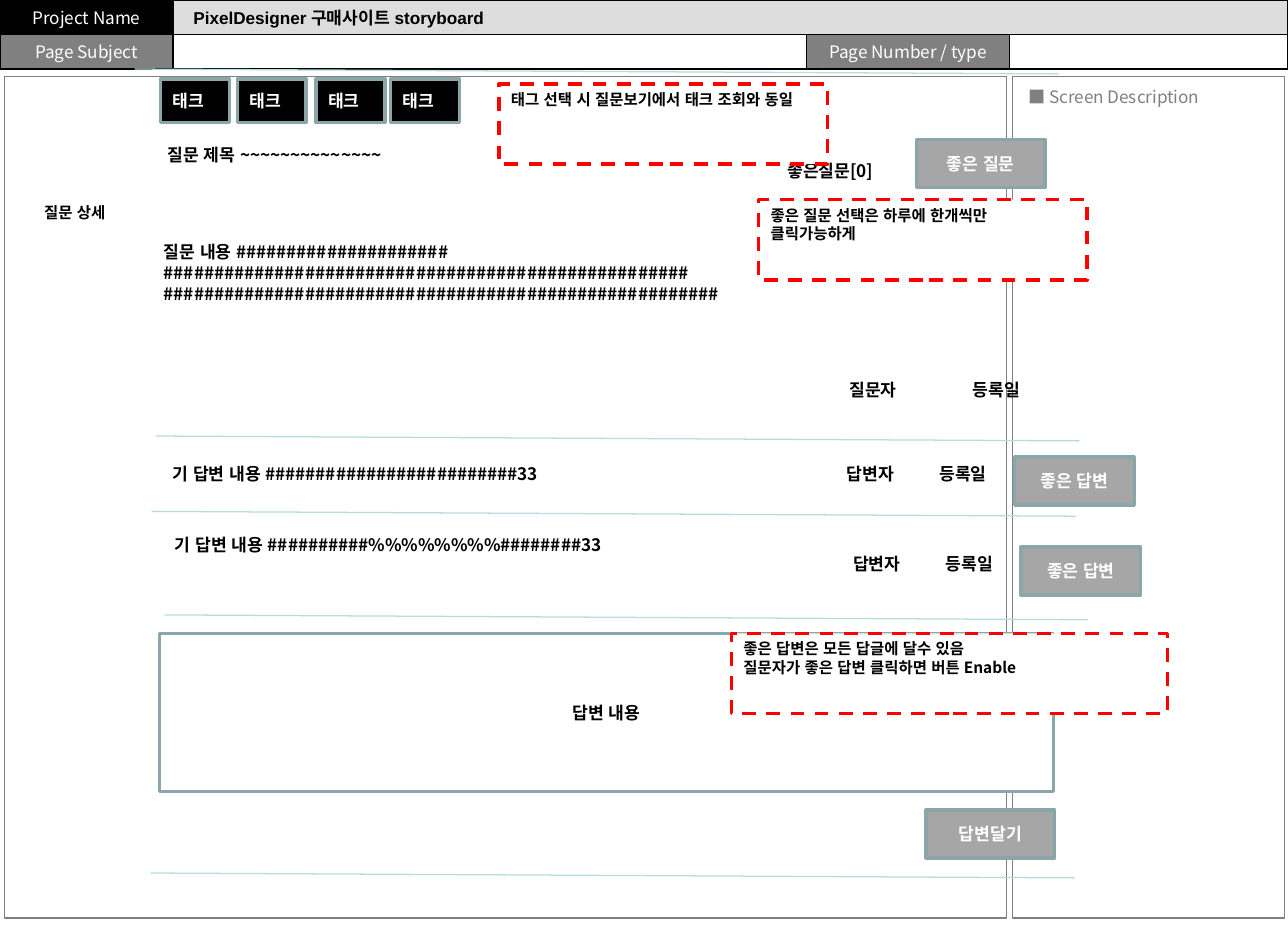
from lxml.etree import SubElement
from pptx import Presentation
from pptx.dml.color import RGBColor
from pptx.enum.dml import MSO_LINE
from pptx.enum.lang import MSO_LANGUAGE_ID
from pptx.enum.shapes import MSO_CONNECTOR, MSO_SHAPE
from pptx.enum.text import MSO_ANCHOR, MSO_AUTO_SIZE, PP_ALIGN
from pptx.oxml.ns import qn
from pptx.util import Cm, Pt

BLACK = RGBColor(0x00, 0x00, 0x00)
WHITE = RGBColor(0xFF, 0xFF, 0xFF)
GRAY = RGBColor(0x80, 0x80, 0x80)
HEADER_GRAY = RGBColor(0xDD, 0xDD, 0xDD)
BUTTON_GRAY = RGBColor(0xA6, 0xA6, 0xA6)
TEAL = RGBColor(0x8A, 0xA6, 0xA8)
PALE_TEAL = RGBColor(0xB6, 0xDC, 0xDF)
RED = RGBColor(0xFF, 0x00, 0x00)
KOREAN_FONT = "Noto Sans CJK KR"


def write_text(shape, text, size=10, color=BLACK, bold=True, font=KOREAN_FONT,
               align=PP_ALIGN.LEFT, anchor=MSO_ANCHOR.TOP, wrap=True):
    """Fill a shape with one paragraph per line of text."""
    frame = shape.text_frame
    frame.word_wrap = wrap
    frame.vertical_anchor = anchor
    for index, line in enumerate(text.split("\n")):
        paragraph = frame.add_paragraph() if index else frame.paragraphs[0]
        paragraph.alignment = align
        run = paragraph.add_run()
        run.text = line
        run.font.size = Pt(size)
        run.font.bold = bold
        run.font.name = font
        run.font.color.rgb = color
        run.font.language_id = MSO_LANGUAGE_ID.KOREAN
        SubElement(run.font._element, qn("a:ea"), typeface=KOREAN_FONT)


def add_box(slide, left, top, width, height, fill=None, border=BLACK, weight=0.75):
    """Draw a bordered rectangle, given in centimetres."""
    box = slide.shapes.add_shape(
        MSO_SHAPE.RECTANGLE, Cm(left), Cm(top), Cm(width), Cm(height))
    box.shadow.inherit = False
    if fill is None:
        box.fill.background()
    else:
        box.fill.solid()
        box.fill.fore_color.rgb = fill
    box.line.color.rgb = border
    box.line.width = Pt(weight)
    return box


def add_label(slide, text, left, top, width, height=0.69, wrap=False, **text_format):
    """Place free text without fill or border."""
    label = slide.shapes.add_textbox(Cm(left), Cm(top), Cm(width), Cm(height))
    write_text(label, text, wrap=wrap, **text_format)
    label.text_frame.auto_size = MSO_AUTO_SIZE.SHAPE_TO_FIT_TEXT


def add_header_cell(slide, text, left, top, width, fill):
    """Draw a captioned cell of the header."""
    cell = add_box(slide, left, top, width, 0.71, fill)
    write_text(cell, text, color=WHITE, bold=False, wrap=False,
               align=PP_ALIGN.CENTER, anchor=MSO_ANCHOR.MIDDLE)


def add_control(slide, text, left, top, width=2.64, height=0.99, fill=BUTTON_GRAY,
                color=WHITE, align=PP_ALIGN.CENTER):
    """Draw a button, tag or input field of the wireframe."""
    control = add_box(slide, left, top, width, height, fill, TEAL, 2)
    write_text(control, text, color=color, align=align, anchor=MSO_ANCHOR.MIDDLE)


def add_note(slide, text, left, top, width=6.76):
    """Draw a dashed red remark."""
    note = add_box(slide, left, top, width, 1.65, WHITE, RED, 2)
    note.line.dash_style = MSO_LINE.DASH
    write_text(note, text, size=9)


def add_divider(slide, left, top):
    """Draw a slightly sloping section divider."""
    divider = slide.shapes.add_connector(
        MSO_CONNECTOR.STRAIGHT, Cm(left), Cm(top), Cm(left + 19), Cm(top + 0.1))
    divider.line.color.rgb = PALE_TEAL
    divider.line.width = Pt(0.75)
    SubElement(divider._element.spPr, qn("a:effectLst"))


def add_frame(slide):
    """Draw the storyboard header and its panels."""
    add_box(slide, 0, 0, 26.49, 0.71, HEADER_GRAY)
    add_header_cell(slide, "Project Name", 0, 0, 3.56, BLACK)
    add_label(slide, "PixelDesigner 구매사이트 storyboard", 3.73, 0.03, 6.78, font="Arial")
    add_box(slide, 0, 0.71, 26.49, 0.71)
    add_header_cell(slide, "Page Subject", 0, 0.71, 3.56, GRAY)
    add_header_cell(slide, "Page Number / type", 16.59, 0.71, 4.17, GRAY)
    add_label(slide, "■ Screen Description", 20.9, 1.65, 4.24, color=GRAY, bold=False)
    for left, width, fill in ((20.83, 5.59, None), (0.2, 20.35, WHITE), (0.1, 20.6, WHITE)):
        add_box(slide, left, 1.57, width, 17.32, fill, GRAY)


def add_question(slide):
    """Draw the tags and the question."""
    add_label(slide, "질문 상세", 0.66, 4.06, 1.88, 0.64, size=9)
    for left in (3.3, 4.88, 6.5, 8.03):
        add_control(slide, "태크", left, 1.63, 1.42, 0.89, BLACK, align=PP_ALIGN.LEFT)
    add_label(slide, "질문 제목 " + "~" * 14, 3.2, 2.84, 18.54, wrap=True)
    body = "\n".join(("질문 내용 " + "#" * 21, "#" * 52, "#" * 55))
    add_label(slide, body, 3.12, 4.85, 18.54, 1.96, wrap=True)
    add_label(slide, "질문자", 17.22, 7.67, 1.57)
    add_label(slide, "등록일", 19.76, 7.67, 1.57)
    add_control(slide, "좋은 질문", 18.85, 2.87)
    add_label(slide, "좋은질문[0]", 15.85, 3.18, 2.46, 1.12, align=PP_ALIGN.CENTER)


def add_answer(slide, text, left, top, width, author_left, author_top):
    """Draw an existing answer with its author, date and vote button."""
    add_label(slide, "기 답변 내용 " + text, left, top, width, wrap=True)
    add_label(slide, "답변자", author_left, author_top, 1.57)
    add_label(slide, "등록일", author_left + 1.9, author_top, 1.57)
    add_control(slide, "좋은 답변", author_left + 3.7, author_top, 2.46)


def main():
    """Build the question detail storyboard."""
    deck = Presentation()
    deck.slide_width, deck.slide_height = Cm(26.49), Cm(19.05)
    slide = deck.slides.add_slide(deck.slide_layouts[6])
    add_frame(slide)
    add_question(slide)
    for left, top in ((2.77, 1.42), (3.2, 8.97), (3.12, 10.52), (3.38, 12.65), (3.1, 17.96)):
        add_divider(slide, left, top)
    add_answer(slide, "#" * 25 + "33", 3.3, 9.4, 11.53, 17.17, 9.4)
    add_answer(slide, "#" * 10 + "%" * 8 + "#" * 8 + "33", 3.35, 10.87, 12.6, 17.3, 11.25)
    add_control(slide, "답변달기", 19.05, 16.66)
    add_control(slide, "답변 내용", 3.28, 13.03, 18.39, 3.25, WHITE, BLACK)
    add_note(slide, "좋은 질문 선택은 하루에 한개씩만 클릭가능하게", 15.6, 4.11)
    add_note(slide, "좋은 답변은 모든 답글에 달수 있음\n질문자가 좋은 답변 클릭하면 버튼 Enable",
             15.04, 13.03, 8.97)
    add_note(slide, "태그 선택 시 질문보기에서 태크 조회와 동일", 10.26, 1.73)
    deck.save("out.pptx")


if __name__ == "__main__":
    main()
